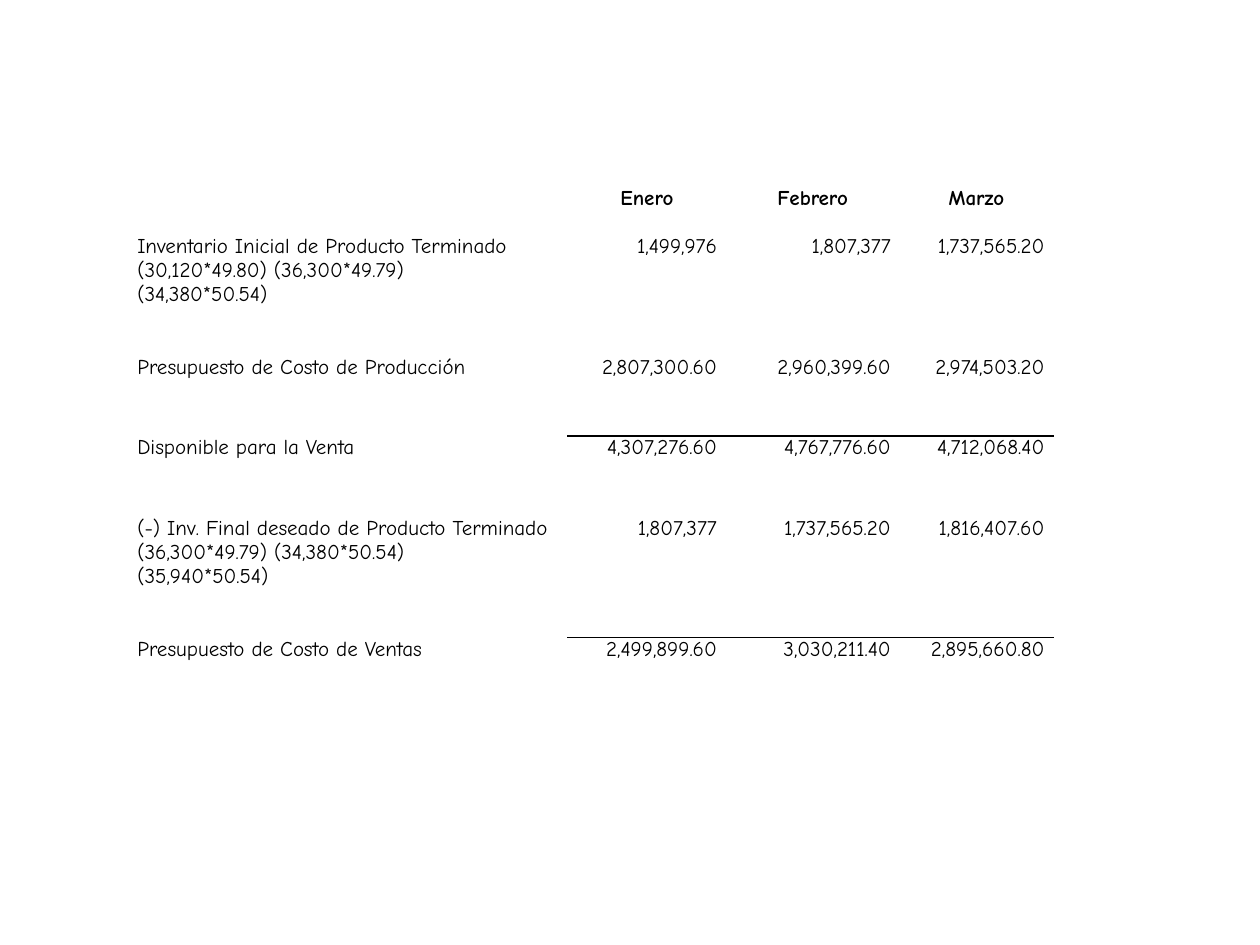
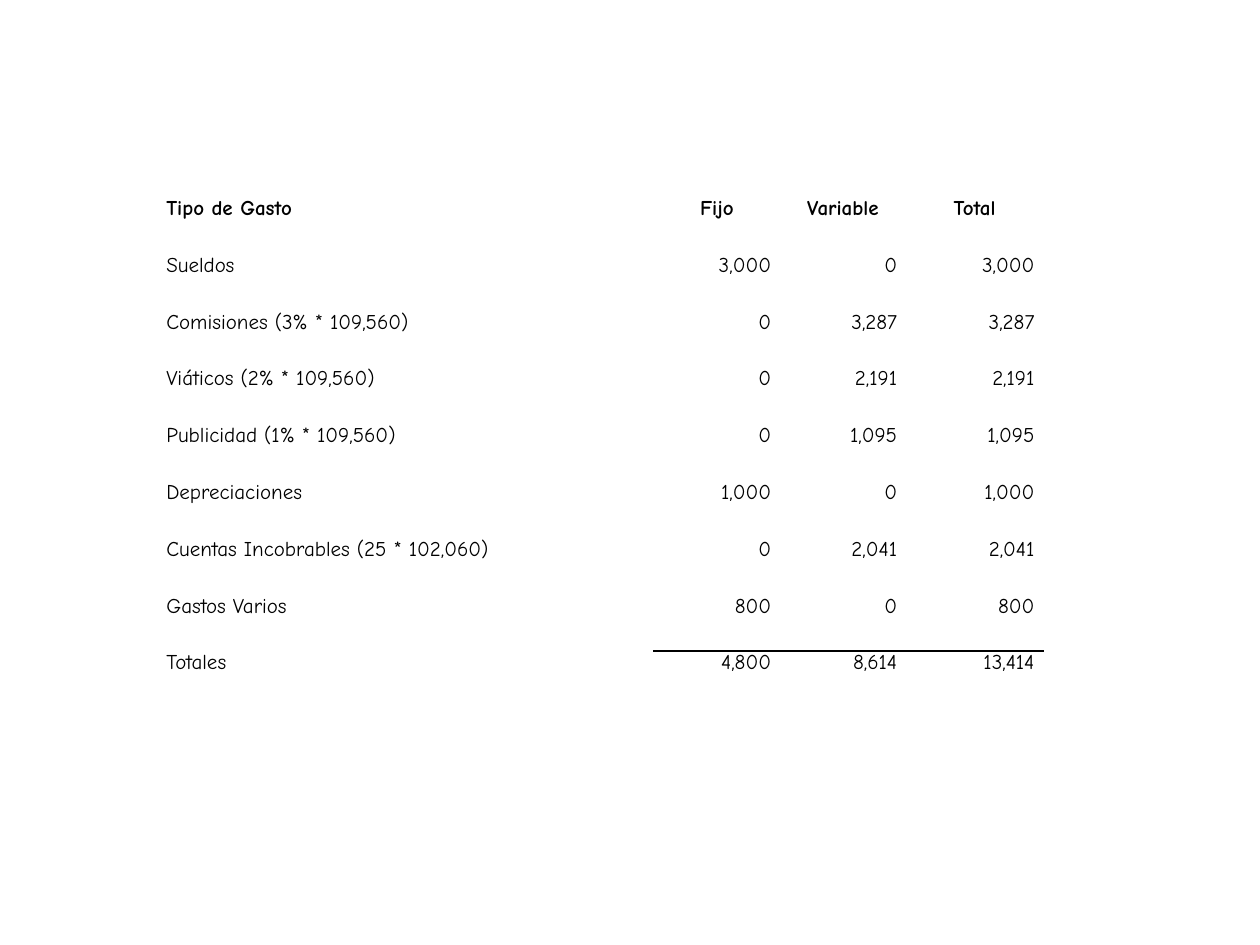
from dataclasses import dataclass

from lxml.etree import SubElement
from pptx import Presentation
from pptx.dml.color import RGBColor
from pptx.enum.text import PP_ALIGN as Align
from pptx.oxml import parse_xml
from pptx.oxml.ns import nsdecls, qn
from pptx.util import Inches, Pt


@dataclass(frozen=True)
class Theme:
    font: str = "Comic Neue"
    text_size: int = 12
    ink: str = "000000"
    rule_width: int = 1
    side_margin: float = 0.07


THEME = Theme()

COST_OF_SALES = [
    ("", "Enero", "Febrero", "Marzo"),
    ("Inventario Inicial de Producto Terminado\n(30,120*49.80) (36,300*49.79)\n(34,380*50.54)",
     "1,499,976", "1,807,377", "1,737,565.20"),
    ("Presupuesto de Costo de Producción", "2,807,300.60", "2,960,399.60", "2,974,503.20"),
    ("Disponible para la Venta", "4,307,276.60", "4,767,776.60", "4,712,068.40"),
    ("(-) Inv. Final deseado de Producto Terminado\n(36,300*49.79) (34,380*50.54)\n(35,940*50.54)",
     "1,807,377", "1,737,565.20", "1,816,407.60"),
    ("Presupuesto de Costo de Ventas", "2,499,899.60", "3,030,211.40", "2,895,660.80"),
]

EXPENSES = [
    ("Tipo de Gasto", "Fijo", "Variable", "Total"),
    ("Sueldos", "3,000", "0", "3,000"),
    ("Comisiones (3% * 109,560)", "0", "3,287", "3,287"),
    ("Viáticos (2% * 109,560)", "0", "2,191", "2,191"),
    ("Publicidad (1% * 109,560)", "0", "1,095", "1,095"),
    ("Depreciaciones", "1,000", "0", "1,000"),
    ("Cuentas Incobrables (25 * 102,060)", "0", "2,041", "2,041"),
    ("Gastos Varios", "800", "0", "800"),
    ("Totales", "4,800", "8,614", "13,414"),
]


def cell_alignment(row, column):
    if row == 0:
        return Align.CENTER if column else Align.LEFT
    return Align.RIGHT if column else Align.JUSTIFY


def fill_cell(cell, text, alignment, bold):
    cell.fill.background()
    cell.margin_left = cell.margin_right = Inches(THEME.side_margin)
    cell.margin_top = cell.margin_bottom = 0
    cell.text_frame.text = text
    for paragraph in cell.text_frame.paragraphs:
        paragraph.alignment = alignment
        for run in paragraph.runs:
            run.font.name = THEME.font
            run.font.size = Pt(THEME.text_size)
            run.font.bold = bold
            run.font.color.rgb = RGBColor.from_string(THEME.ink)


def add_border(cell, side):
    line = parse_xml(f'<a:{side} {nsdecls("a")} w="{Pt(THEME.rule_width)}"/>')
    fill = SubElement(line, qn("a:solidFill"))
    SubElement(fill, qn("a:srgbClr"), val=THEME.ink)
    cell._tc.get_or_add_tcPr().insert(0, line)


def add_budget_table(slide, left, top, widths, heights, rows, total_rows):
    frame = slide.shapes.add_table(
        len(rows), len(widths), Inches(left), Inches(top),
        Inches(sum(widths)), Inches(sum(heights)))
    table = frame.table
    table.first_row = table.horz_banding = False
    for column, width in zip(table.columns, widths):
        column.width = Inches(width)
    for row, height in zip(table.rows, heights):
        row.height = Inches(height)
    for row, texts in enumerate(rows):
        for column, text in enumerate(texts):
            fill_cell(table.cell(row, column), text, cell_alignment(row, column), row == 0)
    for row in total_rows:
        for column in range(1, len(widths)):
            add_border(table.cell(row - 1, column), "lnB")
            add_border(table.cell(row, column), "lnT")


def add_blank_slide(presentation):
    return presentation.slides.add_slide(presentation.slide_layouts[6])


def main():
    presentation = Presentation()
    presentation.slide_width = Inches(10)
    presentation.slide_height = Inches(7.5)

    add_budget_table(
        add_blank_slide(presentation), 1.02, 1.48, [3.49, 1.25, 1.38, 1.22],
        [0.38, 0.96, 0.64, 0.64, 0.96, 0.64], COST_OF_SALES, total_rows=(3, 5))
    add_budget_table(
        add_blank_slide(presentation), 1.25, 1.56, [3.94, 1, 1, 1.09],
        [4.06 / len(EXPENSES)] * len(EXPENSES), EXPENSES, total_rows=(8,))

    presentation.save("out.pptx")


if __name__ == "__main__":
    main()
